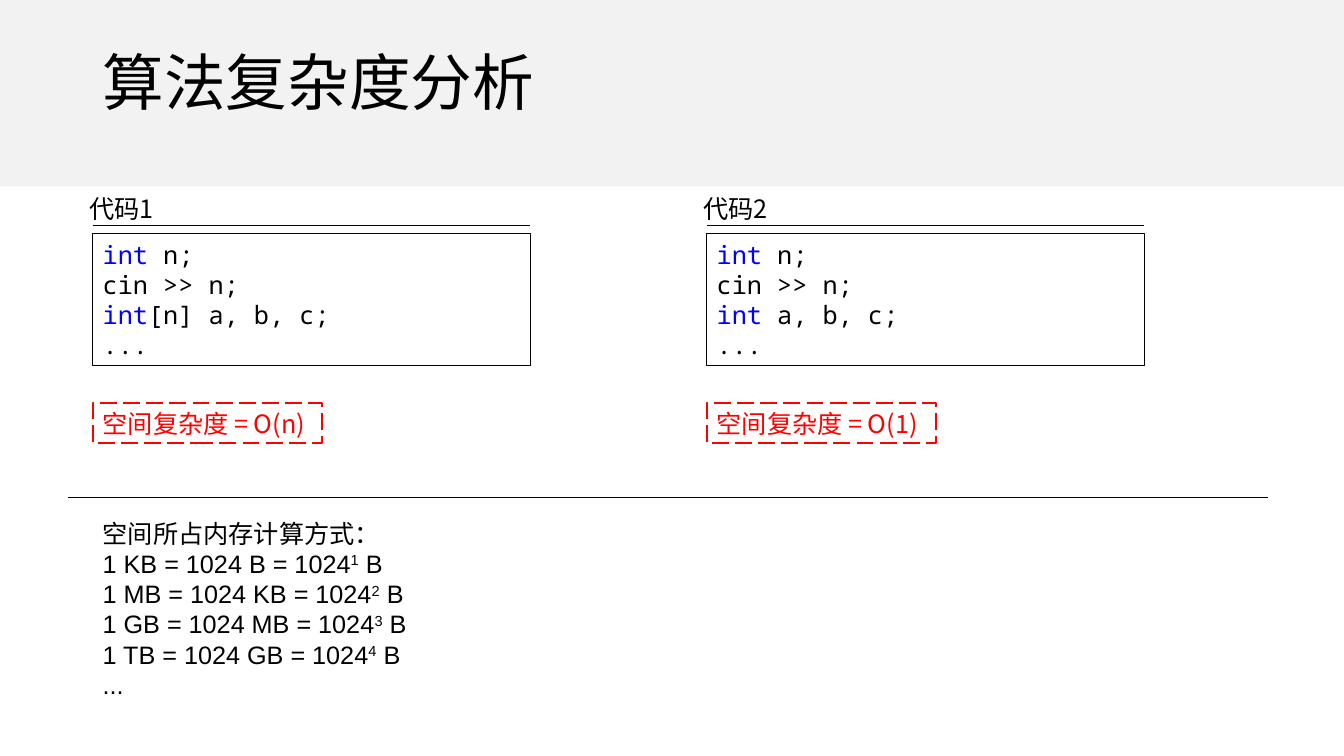
from pptx import Presentation
from pptx.dml.color import RGBColor
from pptx.enum.dml import MSO_LINE
from pptx.enum.shapes import MSO_CONNECTOR, MSO_SHAPE
from pptx.enum.text import MSO_ANCHOR, MSO_AUTO_SIZE, PP_ALIGN
from pptx.oxml.ns import qn
from pptx.util import Inches, Pt
from lxml import etree

BLACK = RGBColor(0x00, 0x00, 0x00)
BLUE = RGBColor(0x00, 0x00, 0xFF)
RED = RGBColor(0xFF, 0x00, 0x00)
PALE = RGBColor(0xF2, 0xF2, 0xF2)
RECT = MSO_SHAPE.RECTANGLE
STRAIGHT = MSO_CONNECTOR.STRAIGHT
DASH = MSO_LINE.LONG_DASH
TOP, MIDDLE = MSO_ANCHOR.TOP, MSO_ANCHOR.MIDDLE
LEFT = PP_ALIGN.LEFT
GROW = MSO_AUTO_SIZE.SHAPE_TO_FIT_TEXT
FIXED = MSO_AUTO_SIZE.NONE

HAN, LATIN, MONO = "Noto Sans CJK SC", "Arial", "Noto Sans Mono"
COLS, ROWS = 133.3, 75


def write(para, text, font=HAN, size=18, color=BLACK, base=0):
    run = para.add_run()
    run.text = text
    run.font.name = font
    run.font.size = Pt(size)
    run.font.color.rgb = color
    props = run.font._element
    etree.SubElement(props, qn("a:ea")).set("typeface", HAN)
    if base:
        props.set("baseline", str(base * 1000))


class Page:
    def __init__(self, deck):
        self.slide = deck.slides.add_slide(deck.slide_layouts[6])
        self.shapes = self.slide.shapes
        self.col = deck.slide_width / COLS
        self.row = deck.slide_height / ROWS

    def area(self, x, y, w, h):
        return [round(v) for v in (x * self.col, y * self.row, w * self.col, h * self.row)]

    def fill(self, shape, lines, anchor=TOP, space=None, fit=GROW, **style):
        frame = shape.text_frame
        frame.word_wrap = True
        frame.auto_size = fit
        frame.vertical_anchor = anchor
        for i, line in enumerate(lines):
            para = frame.paragraphs[0] if i == 0 else frame.add_paragraph()
            para.alignment = LEFT
            para.line_spacing = space
            for text, extra in line:
                write(para, text, **{**style, **extra})

    def text(self, x, y, w, h, lines, **style):
        self.fill(self.shapes.add_textbox(*self.area(x, y, w, h)), lines, **style)

    def box(self, x, y, w, h, paint=None, edge=None, width=0.75, dash=None):
        shape = self.shapes.add_shape(RECT, *self.area(x, y, w, h))
        shape.shadow.inherit = False
        if paint is None:
            shape.fill.background()
        else:
            shape.fill.solid()
            shape.fill.fore_color.rgb = paint
        if edge is None:
            shape.line.fill.background()
        else:
            shape.line.color.rgb = edge
            shape.line.width = Pt(width)
            shape.line.dash_style = dash
        return shape

    def rule(self, x, y, w):
        left, top, wide, _ = self.area(x, y, w, 0)
        line = self.shapes.add_connector(STRAIGHT, left, top, left + wide, top)
        line.line.color.rgb = BLACK
        line.line.width = Pt(0.5)
        etree.SubElement(line._element.spPr, qn("a:effectLst"))

    def sample(self, x, name, third, cost):
        key = ("int", {"color": BLUE})
        code = [[key, (" n;", {})], [("cin >> n;", {})], [key, (third, {})], [("...", {})]]
        self.text(x - 1.35, 18.7, 39.9, 4, [[(name, {})]])
        self.rule(x, 22.4, 43.4)
        self.fill(self.box(x, 23.2, 43.4, 13.1, edge=BLACK), code, font=MONO)
        tag = self.box(x, 40, 22.7, 4, edge=RED, width=1.5, dash=DASH)
        self.fill(tag, [[(f"空间复杂度 = {cost}", {})]], color=RED)


def main():
    deck = Presentation()
    deck.slide_width, deck.slide_height = Inches(13.33), Inches(7.5)
    page = Page(deck)
    page.box(0, 0, COLS, 18.5, paint=PALE)
    page.text(9.2, 1.2, 115, 14.5, [[("算法复杂度分析", {})]],
              size=44, anchor=MIDDLE, space=0.9, fit=FIXED)

    page.sample(9.2, "代码1", "[n] a, b, c;", "O(n)")
    page.sample(70.1, "代码2", " a, b, c;", "O(1)")
    page.rule(6.7, 49.3, 119.1)

    units = ["B", "KB", "MB", "GB", "TB"]
    sums = [
        [(f"1 {big} = 1024 {small} = 1024", {}), (str(n), {"base": 30}), (" B", {})]
        for n, (small, big) in enumerate(zip(units, units[1:]), 1)
    ]
    lines = [[("空间所占内存计算方式：", {})], *sums, [("...", {})]]
    page.text(9.2, 50.9, 115, 19.2, lines, font=LATIN)
    deck.save("out.pptx")


if __name__ == "__main__":
    main()
